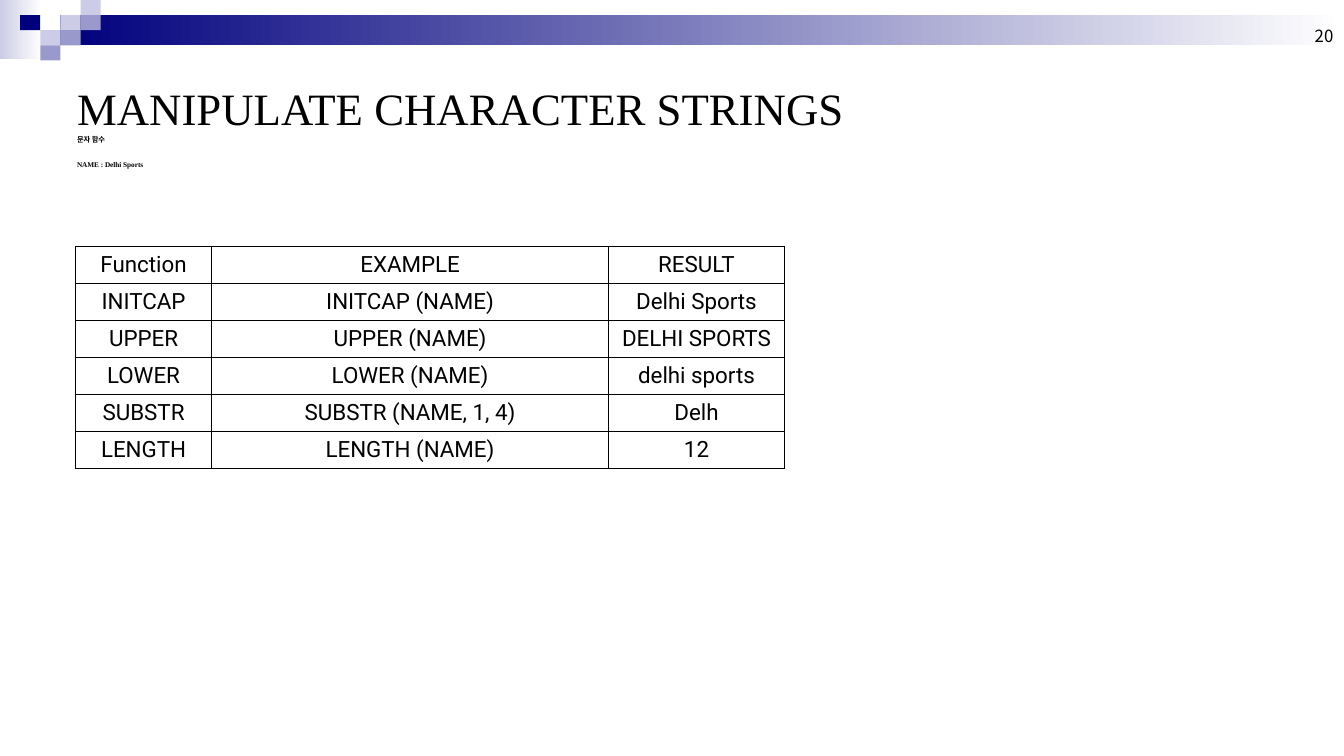
from pptx import Presentation
from pptx.dml.color import RGBColor
from pptx.enum.shapes import MSO_SHAPE
from pptx.enum.text import MSO_ANCHOR, PP_ALIGN
from pptx.oxml import parse_xml
from pptx.oxml.ns import nsdecls
from pptx.util import Pt

RECT = MSO_SHAPE.RECTANGLE
TOP, MIDDLE, BOTTOM = MSO_ANCHOR.TOP, MSO_ANCHOR.MIDDLE, MSO_ANCHOR.BOTTOM
LEFT, CENTER, RIGHT = PP_ALIGN.LEFT, PP_ALIGN.CENTER, PP_ALIGN.RIGHT

BLACK = RGBColor(0x00, 0x00, 0x00)
WHITE = RGBColor(0xFF, 0xFF, 0xFF)
NAVY = RGBColor(0x00, 0x00, 0x7D)
LILAC = RGBColor(0x99, 0x99, 0xCC)
PALE = RGBColor(0xCC, 0xCC, 0xE6)

SERIF = "Times New Roman"

deck = Presentation()
deck.slide_width, deck.slide_height = Pt(960.5), Pt(540)
slide = deck.slides.add_slide(deck.slide_layouts[6])


def add_rect(x, y, w, h, color, fade=False):
    rect = slide.shapes.add_shape(RECT, Pt(x), Pt(y), Pt(w), Pt(h))
    rect.shadow.inherit = False
    rect.line.fill.background()
    if fade:
        rect.fill.gradient()
        rect.fill.gradient_angle = 0
        for stop, shade in zip(rect.fill.gradient_stops, (color, WHITE)):
            stop.color.rgb = shade
    else:
        rect.fill.solid()
        rect.fill.fore_color.rgb = color


def add_text(x, y, w, h, lines, size, font, anchor=TOP, align=LEFT):
    frame = slide.shapes.add_textbox(Pt(x), Pt(y), Pt(w), Pt(h)).text_frame
    frame.word_wrap = True
    frame.vertical_anchor = anchor
    frame.text = "\n".join(lines)
    for para in frame.paragraphs:
        para.alignment = align
        para.font.size = Pt(size)
        para.font.name = font
        para.font.color.rgb = BLACK
    return frame.paragraphs


# Header bands fading to white
add_rect(0, 0, 30, 42, PALE, fade=True)
add_rect(43.2, 10.8, 916.8, 21.6, NAVY, fade=True)

# Checker squares, by column and row
TILE_W, TILE_H = 14.4, 10.8
tiles = [
    (3, 1, PALE), (4, 0, PALE), (4, 1, LILAC), (2, 2, PALE),
    (1, 1, NAVY), (3, 2, LILAC), (2, 3, LILAC),
]
for col, row, color in tiles:
    add_rect(col * TILE_W, row * TILE_H, TILE_W, TILE_H, color)

# Page number and title
add_text(736, 0, 224, 36, ["20"], 12, "Noto Sans CJK KR", BOTTOM, RIGHT)
add_text(48, 36, 864, 81, ["MANIPULATE CHARACTER STRINGS"], 32, SERIF, MIDDLE)

# Small notes under the title
notes = add_text(48, 94.3, 864, 32.4, ["문자 함수", "NAME : Delhi Sports"], 5.2, SERIF)
for note in notes:
    note.font.bold = True
    note.line_spacing = 0.8
notes[1].space_before = Pt(13)

# Function table
rows = [
    ("Function", "EXAMPLE", "RESULT"),
    ("INITCAP", "INITCAP (NAME)", "Delhi Sports"),
    ("UPPER", "UPPER (NAME)", "DELHI SPORTS"),
    ("LOWER", "LOWER (NAME)", "delhi sports"),
    ("SUBSTR", "SUBSTR (NAME, 1, 4)", "Delh"),
    ("LENGTH", "LENGTH (NAME)", "12"),
]
widths = [97.2, 283.8, 125.6]
ROW_H = 26.5
table = slide.shapes.add_table(
    len(rows), len(widths), Pt(54), Pt(175.6), Pt(sum(widths)), Pt(ROW_H * len(rows))
).table
table.first_row = table.horz_banding = False
for column, width in zip(table.columns, widths):
    column.width = Pt(width)

for r, texts in enumerate(rows):
    table.rows[r].height = Pt(ROW_H)
    for c, text in enumerate(texts):
        cell = table.cell(r, c)
        cell.text = text
        cell.vertical_anchor = MIDDLE
        para = cell.text_frame.paragraphs[0]
        para.alignment = CENTER
        para.font.size = Pt(16)
        para.font.name = "Roboto"
        para.font.color.rgb = BLACK
        # Thin black borders come before the fill in the cell
        props = cell._tc.get_or_add_tcPr()
        for side in ("lnL", "lnR", "lnT", "lnB"):
            props.append(parse_xml(
                f'<a:{side} {nsdecls("a")} w="{Pt(0.45)}"><a:solidFill>'
                f'<a:srgbClr val="{BLACK}"/></a:solidFill></a:{side}>'
            ))
        cell.fill.background()

deck.save("out.pptx")
